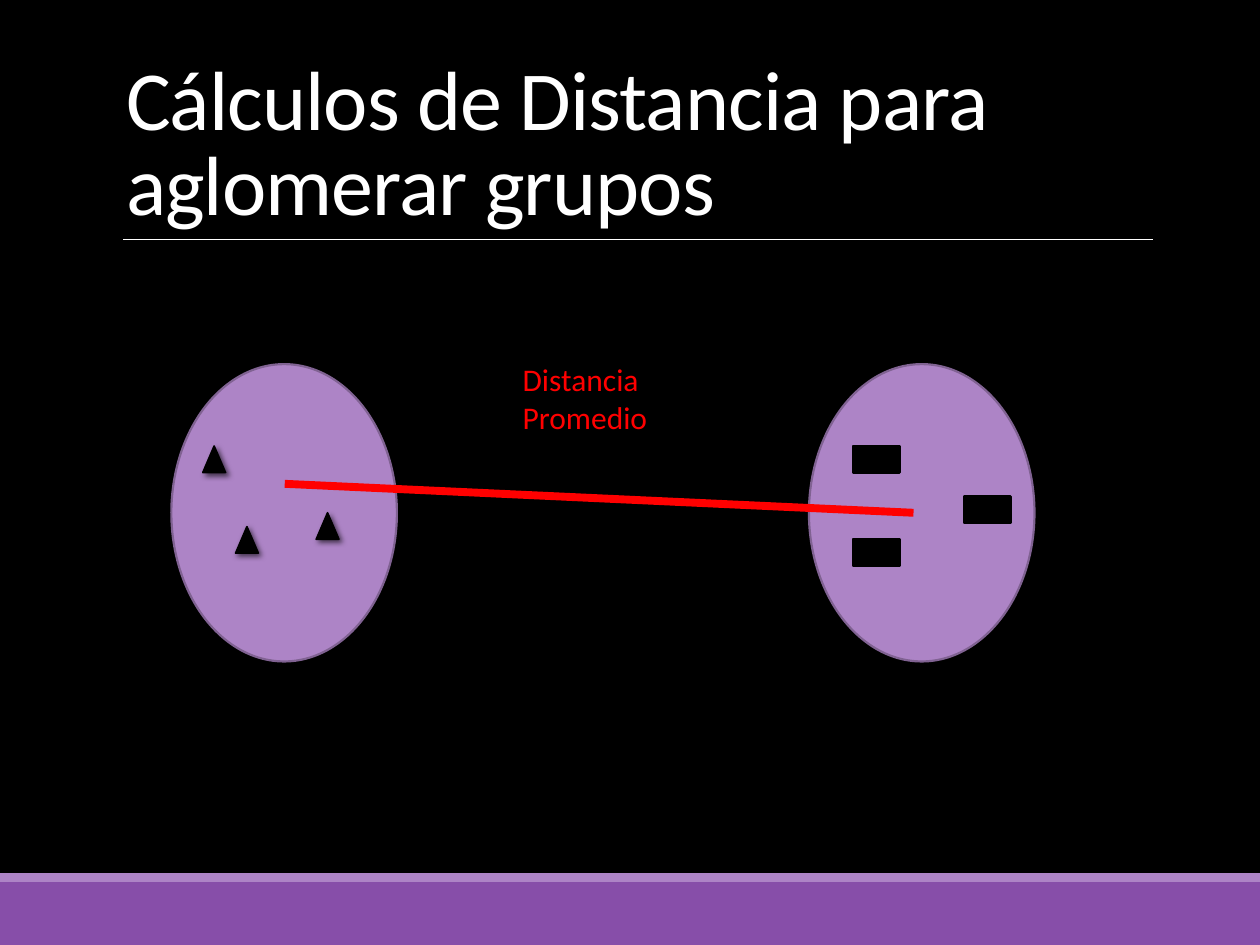
from lxml.etree import SubElement
from pptx import Presentation
from pptx.dml.color import RGBColor
from pptx.enum.shapes import MSO_CONNECTOR, MSO_SHAPE
from pptx.enum.text import MSO_ANCHOR, MSO_AUTO_SIZE, PP_ALIGN
from pptx.oxml.ns import qn
from pptx.util import Inches, Pt

COLORS = {
    "black": "000000",
    "white": "FFFFFF",
    "purple": "874EA9",
    "lilac": "AD84C6",
    "outline": "806292",
    "red": "FF0000",
}
FONT = "Calibri"


def rgb(name):
    """Return the named colour."""
    return RGBColor.from_string(COLORS[name])


def add_figure(slide, preset, box, fill, line=None, width=1.25):
    """Add a filled preset shape in a box given in inches."""
    figure = slide.shapes.add_shape(preset, *map(Inches, box))
    figure.shadow.inherit = False
    figure.fill.solid()
    figure.fill.fore_color.rgb = rgb(fill)
    if line:
        figure.line.color.rgb = rgb(line)
        figure.line.width = Pt(width)
    else:
        figure.line.fill.background()
    return figure


def add_rule(slide, start, end, color, width):
    """Add a straight line without shadow."""
    rule = slide.shapes.add_connector(
        MSO_CONNECTOR.STRAIGHT, *map(Inches, start + end))
    rule.line.color.rgb = rgb(color)
    rule.line.width = Pt(width)
    SubElement(rule._element.spPr, qn("a:effectLst"))


def add_run(paragraph, text, size, color):
    """Add a formatted run to a paragraph."""
    run = paragraph.add_run()
    run.text = text
    run.font.name = FONT
    run.font.size = Pt(size)
    run.font.color.rgb = rgb(color)
    return run


def cast_shadow(figure):
    """Give a figure a soft shadow to the lower right."""
    effects = figure._element.spPr.find(qn("a:effectLst"))
    shadow = SubElement(effects, qn("a:outerShdw"), blurRad=str(Pt(3)),
                        dist=str(Pt(2)), dir=str(45 * 60000), rotWithShape="0")
    color = SubElement(shadow, qn("a:srgbClr"), val=COLORS["black"])
    SubElement(color, qn("a:alpha"), val="60000")


def add_footer(slide, box):
    """Draw the footer band with its lighter strip on top."""
    left, top, width, height = box
    strip = 0.07
    add_figure(slide, MSO_SHAPE.RECTANGLE,
               (left, top + strip, width, height - strip), "purple")
    add_figure(slide, MSO_SHAPE.RECTANGLE, (left, top, width, strip), "lilac")


def add_title(slide, box):
    """Place the title and the rule beneath it."""
    left, top, width, height = box
    title = slide.shapes.title
    title.left, title.top, title.width, title.height = map(Inches, box)
    frame = title.text_frame
    frame.word_wrap = True
    frame.auto_size = MSO_AUTO_SIZE.NONE
    frame.vertical_anchor = MSO_ANCHOR.BOTTOM
    heading = frame.paragraphs[0]
    heading.alignment = PP_ALIGN.LEFT
    heading.line_spacing = 0.85
    run = add_run(heading, "Cálculos de Distancia para aglomerar grupos",
                  48, "white")
    run.font._element.set("spc", "-50")
    bottom = top + height
    add_rule(slide, (left + 0.08, bottom), (left + width, bottom), "white", 0.5)


def add_group(slide, box, preset, member_size, offsets, width, shadowed=False):
    """Draw a cluster oval with its members at offsets from its corner."""
    left, top = box[:2]
    add_figure(slide, MSO_SHAPE.OVAL, box, "lilac", "outline")
    for across, down in offsets:
        member = add_figure(slide, preset,
                            (left + across, top + down, *member_size),
                            "black", "black", width)
        if shadowed:
            cast_shadow(member)


def add_distance_label(slide, box):
    """Write the name of the distance."""
    label = slide.shapes.add_textbox(*map(Inches, box))
    label.text_frame.word_wrap = True
    label.text_frame.auto_size = MSO_AUTO_SIZE.SHAPE_TO_FIT_TEXT
    add_run(label.text_frame.paragraphs[0], "Distancia Promedio", 18, "red")


def main():
    """Build and save the slide."""
    deck = Presentation()
    deck.slide_width, deck.slide_height = Inches(10), Inches(7.5)
    slide = deck.slides.add_slide(deck.slide_layouts[5])
    slide.background.fill.solid()
    slide.background.fill.fore_color.rgb = rgb("black")

    add_footer(slide, (0, 6.93, 10, 0.57))
    add_title(slide, (0.9, 0.31, 8.25, 1.59))
    add_group(slide, (1.36, 2.89, 1.79, 2.36), MSO_SHAPE.ISOSCELES_TRIANGLE,
              (0.18, 0.21), [(0.25, 0.65), (0.51, 1.29), (1.15, 1.18)],
              width=1, shadowed=True)
    add_group(slide, (6.42, 2.89, 1.79, 2.36), MSO_SHAPE.RECTANGLE,
              (0.37, 0.21), [(0.35, 0.65), (1.23, 1.05), (0.35, 1.39)],
              width=1.25)
    add_rule(slide, (2.26, 3.84), (7.25, 4.07), "red", 4.5)
    add_distance_label(slide, (4.05, 2.81, 1.9, 0.71))
    deck.save("out.pptx")


if __name__ == "__main__":
    main()
